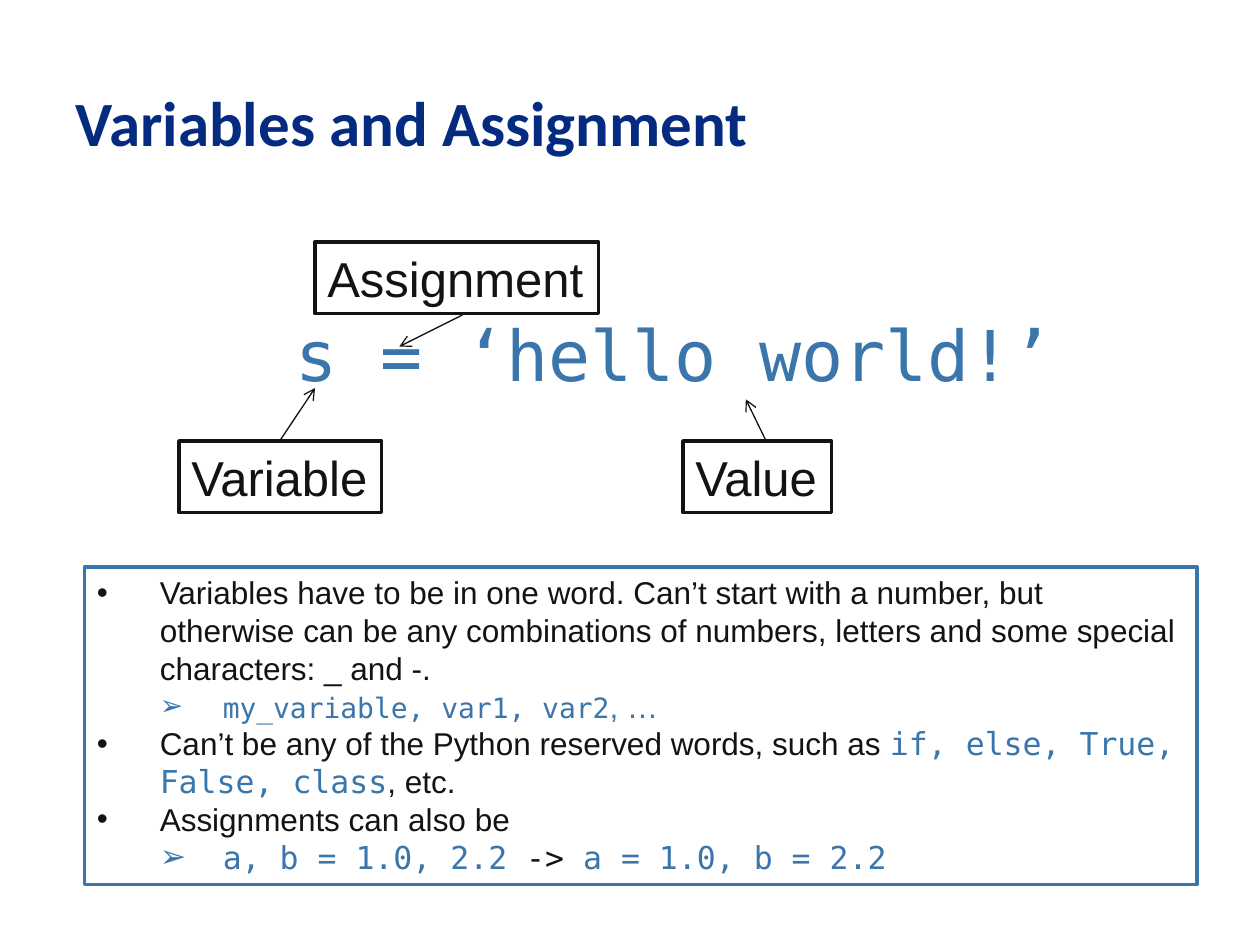
from dataclasses import dataclass

from lxml import etree
from pptx import Presentation
from pptx import util as u
from pptx.dml.color import RGBColor
from pptx.enum import shapes, text
from pptx.oxml.ns import qn

COLORS = {"title": "042B7F", "code": "3A75AB", "ink": "141313", "paper": "FFFFFF"}
BODY_FONT = "Arial"
CODE_FONT = "DejaVu Sans Mono"


@dataclass
class Label:
    caption: str
    left: float
    top: float
    width: float
    height: float = 0.57


@dataclass
class Arrow:
    start: tuple[float, float]
    end: tuple[float, float]


@dataclass
class Run:
    content: str
    code: bool = False
    size: float = 18
    color: str = ""


@dataclass
class Bullet:
    runs: list[Run]
    level: int = 0


LABELS = [
    Label("Variable", 1.42, 3.5, 1.61),
    Label("Value", 5.42, 3.5, 1.18),
    Label("Assignment", 2.5, 1.92, 2.25),
]
ARROWS = [
    Arrow((3.67, 2.5), (3.17, 2.75)),
    Arrow((2.22, 3.5), (2.5, 3.08)),
    Arrow((6.08, 3.5), (5.92, 3.17)),
]
BULLETS = [
    Bullet([Run("Variables have to be in one word. Can’t start with a number, but "
                "otherwise can be any combinations of numbers, letters and some "
                "special characters: _ and -.")]),
    Bullet([Run("my_variable, var1, var2", code=True, size=16),
            Run(", …", color="code")], level=1),
    Bullet([Run("Can’t be any of the Python reserved words, such as "),
            Run("if, else, True, False, class", code=True),
            Run(", etc.")]),
    Bullet([Run("Assignments can also be")]),
    Bullet([Run("a, b = 1.0, 2.2 ", code=True),
            Run("-> ", code=True, color="ink"),
            Run("a = 1.0, b = 2.2", code=True)], level=1),
]


def add_text(paragraph, content: str, *, size: float, font: str = BODY_FONT,
             color: str = "ink", bold: bool = False) -> None:
    run = paragraph.add_run()
    run.text = content
    run.font.size = u.Pt(size)
    run.font.name = font
    run.font.bold = bold
    run.font.color.rgb = RGBColor.from_string(COLORS[color])


def add_box(slide, left: float, top: float, width: float, height: float,
            line_color: str, wrap: bool):
    shape = slide.shapes.add_shape(
        shapes.MSO_SHAPE.RECTANGLE,
        u.Inches(left), u.Inches(top), u.Inches(width), u.Inches(height))
    shape.shadow.inherit = False
    shape.fill.solid()
    shape.fill.fore_color.rgb = RGBColor.from_string(COLORS["paper"])
    shape.line.color.rgb = RGBColor.from_string(COLORS[line_color])
    shape.line.width = u.Pt(2)
    frame = shape.text_frame
    frame.word_wrap = wrap
    frame.vertical_anchor = text.MSO_ANCHOR.TOP
    frame.paragraphs[0].alignment = text.PP_ALIGN.LEFT
    return frame


def add_label(slide, label: Label) -> None:
    frame = add_box(slide, label.left, label.top, label.width, label.height,
                    "ink", wrap=False)
    add_text(frame.paragraphs[0], label.caption, size=28)


def add_arrow(slide, arrow: Arrow) -> None:
    points = [u.Inches(value) for value in (*arrow.start, *arrow.end)]
    connector = slide.shapes.add_connector(shapes.MSO_CONNECTOR.STRAIGHT, *points)
    connector.line.color.rgb = RGBColor.from_string(COLORS["ink"])
    connector.line.width = u.Pt(0.75)
    etree.SubElement(connector.line._get_or_add_ln(), qn("a:tailEnd"), type="arrow")
    etree.SubElement(connector._element.spPr, qn("a:effectLst"))


def add_bullet(paragraph, bullet: Bullet) -> None:
    paragraph.alignment = text.PP_ALIGN.LEFT
    paragraph.level = bullet.level
    properties = paragraph._p.get_or_add_pPr()
    properties.set("marL", str(u.Inches(0.5 * (bullet.level + 1))))
    properties.set("indent", str(u.Inches(-0.5)))
    etree.SubElement(properties, qn("a:buFont"), typeface=BODY_FONT)
    etree.SubElement(properties, qn("a:buChar"), char="•➢"[bullet.level])
    for run in bullet.runs:
        add_text(paragraph, run.content, size=run.size,
                 font=CODE_FONT if run.code else BODY_FONT,
                 color=run.color or ("code" if run.code else "ink"))


def add_title(slide) -> None:
    title = slide.shapes.title
    title.left, title.top = u.Inches(0.5), u.Inches(0.42)
    title.width, title.height = u.Inches(9.17), u.Inches(1.19)
    title.text_frame.vertical_anchor = text.MSO_ANCHOR.MIDDLE
    paragraph = title.text_frame.paragraphs[0]
    paragraph.alignment = text.PP_ALIGN.LEFT
    paragraph.line_spacing = 0.8
    add_text(paragraph, "Variables and Assignment", size=36, font="Calibri",
             color="title", bold=True)


def add_statement(slide) -> None:
    statement = slide.shapes.add_textbox(
        u.Inches(2.25), u.Inches(2.42), u.Inches(6.5), u.Inches(0.77))
    statement.text_frame.word_wrap = True
    add_text(statement.text_frame.paragraphs[0], "s = ‘hello world!’",
             size=40, font=CODE_FONT, color="code")


def add_rules(slide) -> None:
    frame = add_box(slide, 0.67, 4.5, 8.83, 2.52, "code", wrap=True)
    for index, bullet in enumerate(BULLETS):
        paragraph = frame.add_paragraph() if index else frame.paragraphs[0]
        add_bullet(paragraph, bullet)


def main() -> None:
    presentation = Presentation()
    presentation.slide_width = u.Inches(10)
    presentation.slide_height = u.Inches(7.5)
    slide = presentation.slides.add_slide(presentation.slide_layouts[5])
    add_title(slide)
    add_statement(slide)
    for label in LABELS:
        add_label(slide, label)
    for arrow in ARROWS:
        add_arrow(slide, arrow)
    add_rules(slide)
    presentation.save("out.pptx")


if __name__ == "__main__":
    main()
